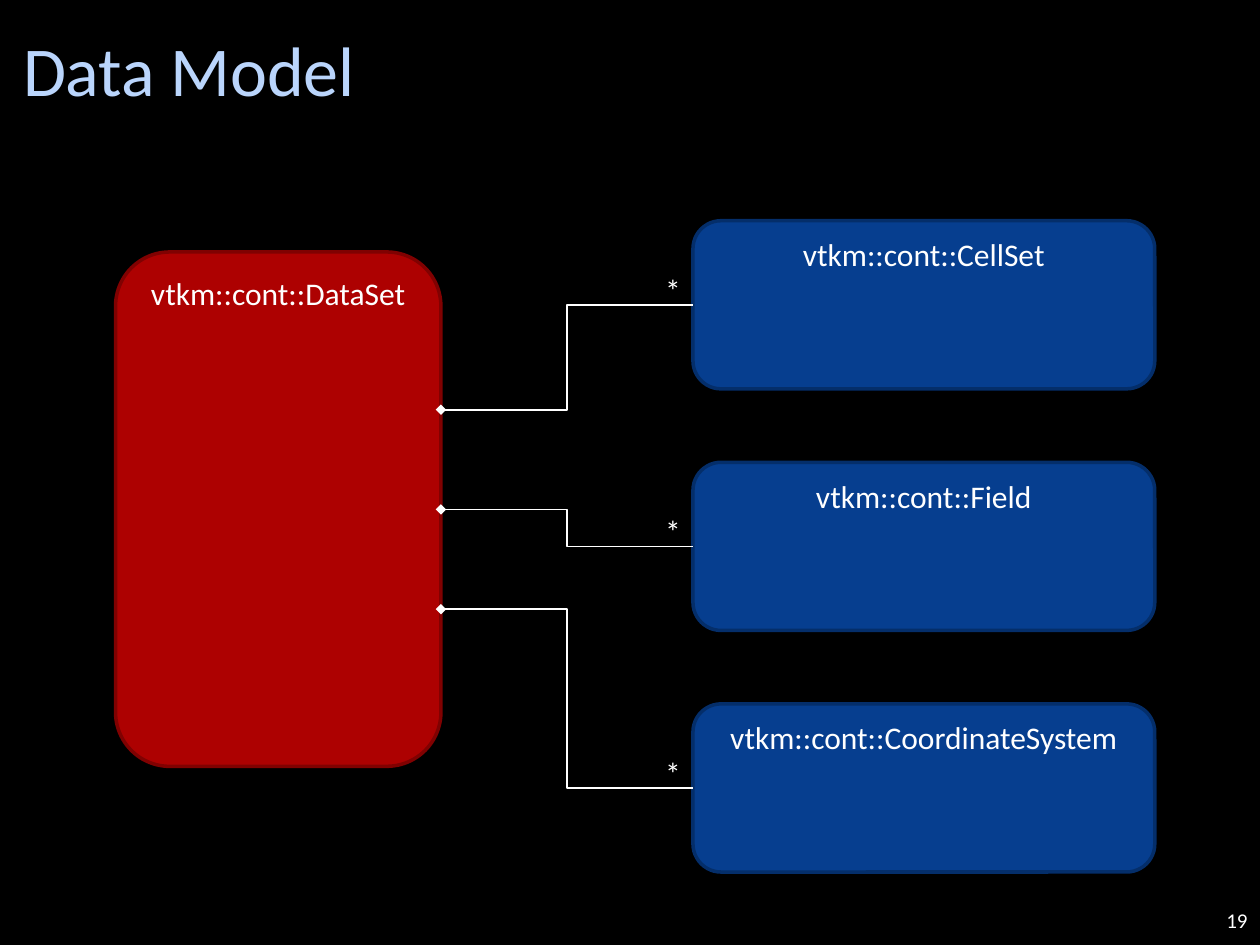
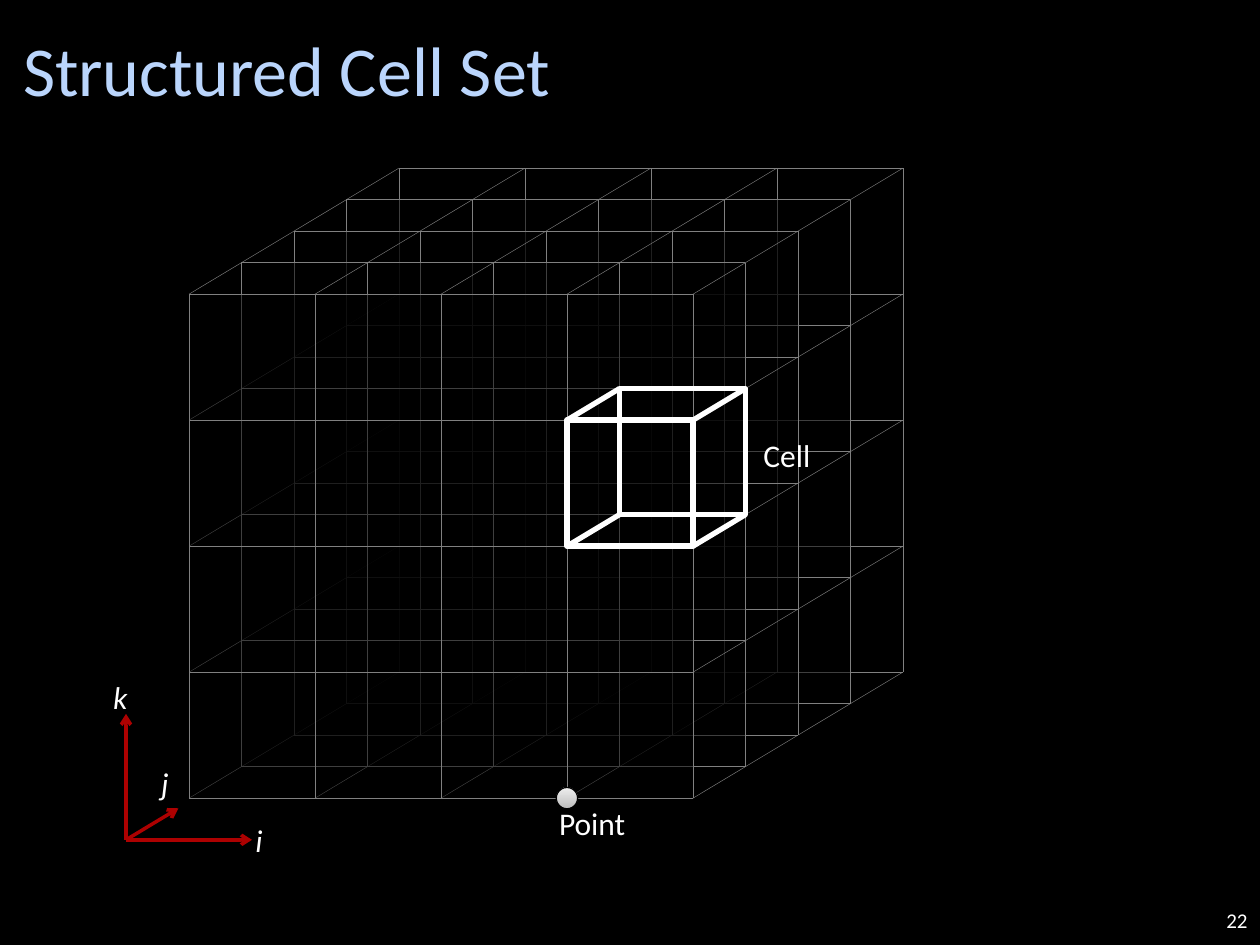
"""Build two slides: the data model diagram and the structured cell set grid."""
from dataclasses import dataclass

from lxml import etree
from pptx import Presentation
from pptx import util as u
from pptx.dml import color
from pptx.enum import shapes, text
from pptx.oxml import ns

RGB = color.RGBColor.from_string


@dataclass(frozen=True)
class Theme:
    font: str = "Calibri"
    back: color.RGBColor = RGB("000000")
    ink: color.RGBColor = RGB("FFFFFF")
    title: color.RGBColor = RGB("BAD5FC")
    red: color.RGBColor = RGB("AD0101")
    red_edge: color.RGBColor = RGB("800101")
    blue: color.RGBColor = RGB("063E8F")
    blue_edge: color.RGBColor = RGB("042E6A")
    grid: color.RGBColor = RGB("808080")
    ball_dark: color.RGBColor = RGB("BDBDBD")
    ball_light: color.RGBColor = RGB("EEEEEE")
    title_size: int = 40
    label_size: int = 18
    number_size: int = 12


T = Theme()
LEFT, CENTER, RIGHT = text.PP_ALIGN.LEFT, text.PP_ALIGN.CENTER, text.PP_ALIGN.RIGHT
TOP, MIDDLE = text.MSO_ANCHOR.TOP, text.MSO_ANCHOR.MIDDLE


def write(sp, string, size=T.label_size, ink=T.ink, align=LEFT, anchor=TOP, wrap=False, italic=None):
    tf = sp.text_frame
    tf.text = string
    tf.word_wrap = wrap
    tf.auto_size = text.MSO_AUTO_SIZE.NONE if wrap else text.MSO_AUTO_SIZE.SHAPE_TO_FIT_TEXT
    tf.vertical_anchor = anchor
    p = tf.paragraphs[0]
    p.alignment = align
    f = p.runs[0].font
    f.name, f.size, f.italic = T.font, u.Pt(size), italic
    f.color.rgb = ink


def line(s, start, end, ink, width, kind=shapes.MSO_CONNECTOR.STRAIGHT, tip=None):
    cx = s.shapes.add_connector(kind, *[u.Cm(v) for v in (*start, *end)])
    cx.line.color.rgb = ink
    cx.line.width = u.Pt(width)
    if tip:
        tag, style = tip
        etree.SubElement(cx.line._get_or_add_ln(), ns.qn(tag), type=style)
    etree.SubElement(cx._element.spPr, ns.qn("a:effectLst"))
    return cx


prs = Presentation()
prs.slide_width, prs.slide_height = u.Cm(25.4), u.Cm(19.05)
fill = prs.slide_master.background.fill
fill.solid()
fill.fore_color.rgb = T.back

slides = []
for title, number in (("Data Model", "19"), ("Structured Cell Set", "22")):
    s = prs.slides.add_slide(prs.slide_layouts[5])
    sp = s.shapes.title
    sp.left, sp.top, sp.width, sp.height = u.Cm(0.21), u.Cm(0), u.Cm(22.43), u.Cm(2.75)
    write(sp, title, T.title_size, T.title, anchor=MIDDLE, wrap=True)
    sp = s.shapes.add_textbox(u.Cm(19.48), u.Cm(18.03), u.Cm(5.92), u.Cm(1.02))
    write(sp, number, T.number_size, align=RIGHT, anchor=MIDDLE, wrap=True)
    slides.append(s)
model, cells = slides

BOX_X, BOX_Y, BOX_W, BOX_H, BOX_STEP = 13.97, 4.45, 9.31, 3.39, 4.87
SET_X, SET_Y, SET_W, SET_H = 2.33, 5.08, 6.56, 10.37
boxes = [("DataSet", SET_X, SET_Y, SET_W, SET_H, T.red, T.red_edge)]
for i, name in enumerate(("CellSet", "Field", "CoordinateSystem")):
    boxes.append((name, BOX_X, BOX_Y + i * BOX_STEP, BOX_W, BOX_H, T.blue, T.blue_edge))
for name, x, y, w, h, face, edge in boxes:
    sp = model.shapes.add_shape(shapes.MSO_SHAPE.ROUNDED_RECTANGLE, u.Cm(x), u.Cm(y), u.Cm(w), u.Cm(h))
    sp.shadow.inherit = False
    sp.fill.solid()
    sp.fill.fore_color.rgb = face
    sp.line.color.rgb = edge
    sp.line.width = u.Pt(2)
    write(sp, f"vtkm::cont::{name}", align=CENTER, wrap=True)
for i in range(3):
    middle = BOX_Y + i * BOX_STEP + BOX_H / 2
    line(model, (SET_X + SET_W, 8.26 + i * 2.01), (BOX_X, middle), T.ink, 1,
         shapes.MSO_CONNECTOR.ELBOW, ("a:headEnd", "diamond"))
    write(model.shapes.add_textbox(u.Cm(13.16), u.Cm(middle - 0.81), u.Cm(0.84), u.Cm(1.02)), "*")

N, CELL = 4, 2.54
SIDE = N * CELL
GRID_X, GRID_Y = 3.81, 5.93
DEPTH_X, DEPTH_Y = 4.23, -2.54
HAIR = 0.25


def node(i, k, j=0):
    return GRID_X + i * CELL + j * DEPTH_X / N, GRID_Y + k * CELL + j * DEPTH_Y / N


hidden = [(0, k, 1) for k in range(N + 1)] + [(i, N, 2) for i in range(1, N + 1)]
visible = [(i, 0, 0) for i in range(1, N + 1)] + [(N, k, 3) for k in range(1, N)]
depth_lines = [(line(cells, node(i, k), node(i, k, N), T.grid, HAIR), i, k, side) for i, k, side in hidden]

panes = []
for j in range(N, -1, -1):
    x, y = node(0, 0, j)
    pane = cells.shapes.add_shape(shapes.MSO_SHAPE.RECTANGLE, u.Cm(x), u.Cm(y), u.Cm(SIDE), u.Cm(SIDE))
    pane.shadow.inherit = False
    pane.fill.solid()
    pane.fill.fore_color.rgb = T.back
    rgb = pane._element.spPr.find(".//" + ns.qn("a:srgbClr"))
    etree.SubElement(rgb, ns.qn("a:alpha"), val="50000")
    pane.line.fill.background()
    panes.append(pane)
    for n in range(N + 1):
        down = line(cells, node(n, 0, j), node(n, N, j), T.grid, HAIR)
        across = line(cells, node(N, n, j), node(0, n, j), T.grid, HAIR)
        if n == N / 2:
            down.begin_connect(pane, 0)
            down.end_connect(pane, 2)
            across.begin_connect(pane, 3)
            across.end_connect(pane, 1)

depth_lines += [(line(cells, node(i, k), node(i, k, N), T.grid, HAIR), i, k, side) for i, k, side in visible]
for cx, i, k, side in depth_lines:
    if N / 2 in (i, k):
        cx.begin_connect(panes[-1], side)
        cx.end_connect(panes[0], side)

AXIS_X, AXIS_Y = 2.54, 16.93
for dx, dy in ((DEPTH_X / N, DEPTH_Y / N), (CELL, 0), (0, -CELL)):
    line(cells, (AXIS_X, AXIS_Y), (AXIS_X + dx, AXIS_Y + dy), T.red, 2, tip=("a:tailEnd", "arrow"))

x, y = node(3, N)
BALL = 0.43
ball = cells.shapes.add_shape(shapes.MSO_SHAPE.OVAL, u.Cm(x - BALL / 2), u.Cm(y - BALL / 2), u.Cm(BALL), u.Cm(BALL))
ball.shadow.inherit = False
ball.fill.gradient()
ball.fill.gradient_angle = 90
for stop, shade in zip(ball.fill.gradient_stops, (T.ball_dark, T.ball_light)):
    stop.color.rgb = shade
ball.line.color.rgb = T.back
ball.line.width = u.Pt(0.75)

for j in (1, 0):
    x, y = node(3, 1, j)
    sp = cells.shapes.add_shape(shapes.MSO_SHAPE.RECTANGLE, u.Cm(x), u.Cm(y), u.Cm(CELL), u.Cm(CELL))
    sp.shadow.inherit = False
    sp.fill.background()
    sp.line.color.rgb = T.ink
    sp.line.width = u.Pt(3)
for i, k in ((3, 1), (4, 1), (4, 2), (3, 2)):
    line(cells, node(i, k), node(i, k, 1), T.ink, 3)

for name, x, y, w, italic in (
    ("i", 4.9, 16.43, 0.81, True),
    ("j", 3, 15.27, 0.81, True),
    ("k", 2.03, 13.54, 0.97, True),
    ("Point", 11.02, 16.08, 1.93, None),
    ("Cell", 15.14, 8.66, 1.47, None),
):
    write(cells.shapes.add_textbox(u.Cm(x), u.Cm(y), u.Cm(w), u.Cm(1.02)), name, italic=italic)

prs.save("out.pptx")
